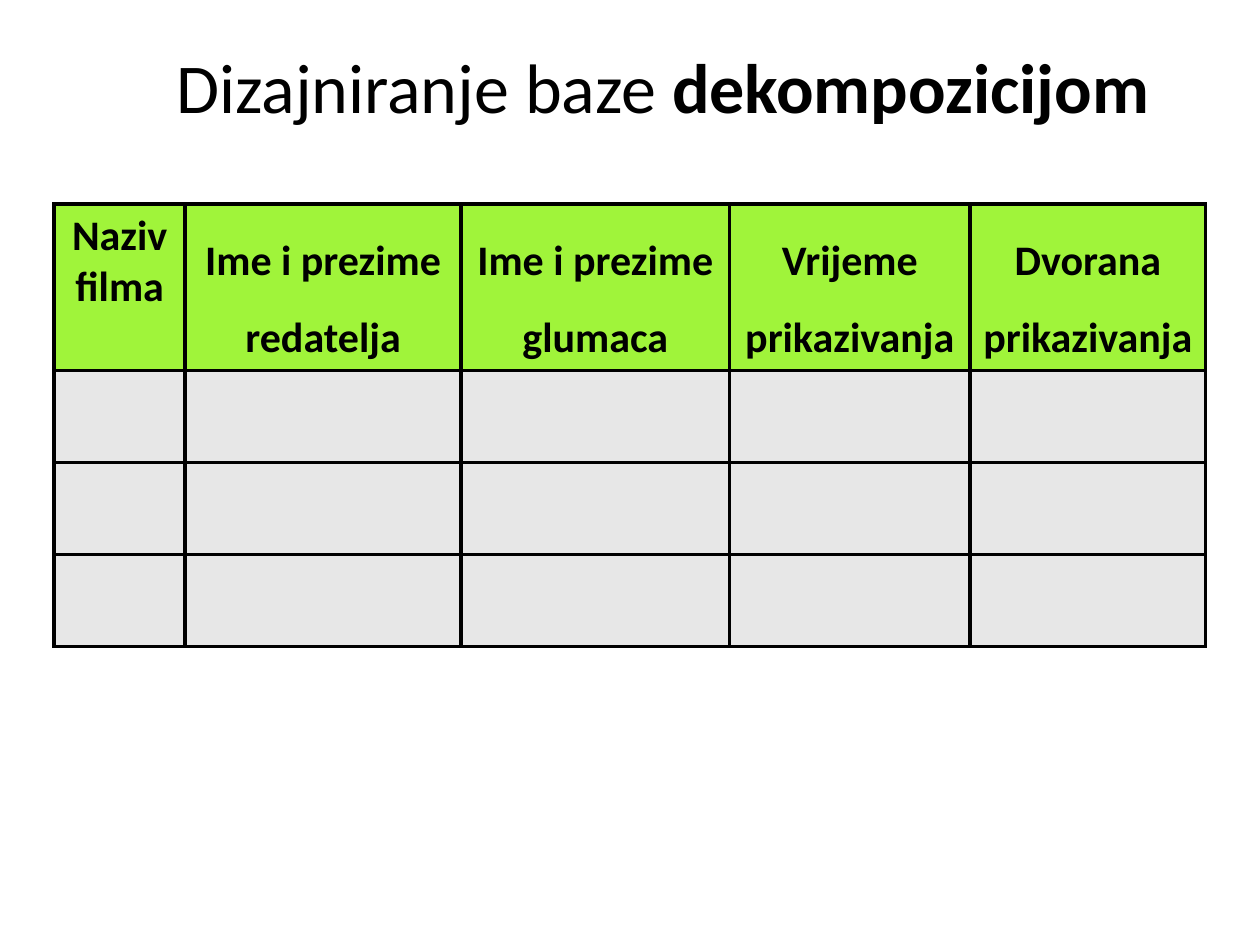
from dataclasses import dataclass

from lxml.etree import SubElement
from pptx import Presentation
from pptx.dml.color import RGBColor
from pptx.enum.text import MSO_AUTO_SIZE as AutoSize, PP_ALIGN as Align
from pptx.oxml.ns import qn
from pptx.util import Inches, Pt


@dataclass(frozen=True)
class Theme:
    font: str = "Calibri"
    ink: str = "000000"
    header: str = "A0F43A"
    body: str = "E7E7E7"
    title_size: float = 40
    header_size: float = 24
    border: float = 2.25


@dataclass(frozen=True)
class Column:
    lines: tuple[str, ...]
    width: float
    spacing: float = 1.5


THEME = Theme()
COLUMNS = (
    Column(("Naziv filma",), 1.04, 1.0),
    Column(("Ime i prezime redatelja",), 2.19),
    Column(("Ime i prezime glumaca",), 2.13),
    Column(("Vrijeme prikazivanja",), 1.91),
    Column(("Dvorana", "prikazivanja"), 1.87),
)
HEADER_HEIGHT = 1.3
ROW_HEIGHT = 0.73
BODY_ROWS = 3


def add_text(p, text: str, *, size: float, bold: bool = False,
             align=None, spacing: float | None = None) -> None:
    r = p.add_run()
    r.text = text
    r.font.name = THEME.font
    r.font.size = Pt(size)
    r.font.bold = bold
    r.font.color.rgb = RGBColor.from_string(THEME.ink)
    if align is not None:
        p.alignment = align
    if spacing is not None:
        p.line_spacing = spacing


def style_cell(cell, fill: str) -> None:
    tc_pr = cell._tc.get_or_add_tcPr()
    for side in ("lnL", "lnR", "lnT", "lnB"):
        ln = SubElement(tc_pr, qn(f"a:{side}"), w=str(Pt(THEME.border)))
        solid = SubElement(ln, qn("a:solidFill"))
        SubElement(solid, qn("a:srgbClr"), val=THEME.ink)
    cell.fill.solid()
    cell.fill.fore_color.rgb = RGBColor.from_string(fill)


def add_title(s) -> None:
    sp = s.shapes.add_textbox(Inches(1.3), Inches(0.3), Inches(8), Inches(0.77))
    tf = sp.text_frame
    tf.word_wrap = False
    tf.auto_size = AutoSize.SHAPE_TO_FIT_TEXT
    p = tf.paragraphs[0]
    add_text(p, "Dizajniranje baze ", size=THEME.title_size)
    add_text(p, "dekompozicijom", size=THEME.title_size, bold=True)


def add_film_table(s) -> None:
    width = sum(column.width for column in COLUMNS)
    height = HEADER_HEIGHT + BODY_ROWS * ROW_HEIGHT
    table = s.shapes.add_table(
        BODY_ROWS + 1, len(COLUMNS),
        Inches(0.43), Inches(1.62), Inches(width), Inches(height),
    ).table
    for i, row in enumerate(table.rows):
        row.height = Inches(ROW_HEIGHT if i else HEADER_HEIGHT)
        for cell in row.cells:
            style_cell(cell, THEME.body if i else THEME.header)
    for i, column in enumerate(COLUMNS):
        table.columns[i].width = Inches(column.width)
        tf = table.cell(0, i).text_frame
        for j, line in enumerate(column.lines):
            p = tf.add_paragraph() if j else tf.paragraphs[0]
            add_text(p, line, size=THEME.header_size, bold=True,
                     align=Align.CENTER, spacing=column.spacing)


def main() -> None:
    prs = Presentation()
    prs.slide_width = Inches(10)
    prs.slide_height = Inches(7.5)
    s = prs.slides.add_slide(prs.slide_layouts[6])
    add_film_table(s)
    add_title(s)
    prs.save("out.pptx")


if __name__ == "__main__":
    main()
